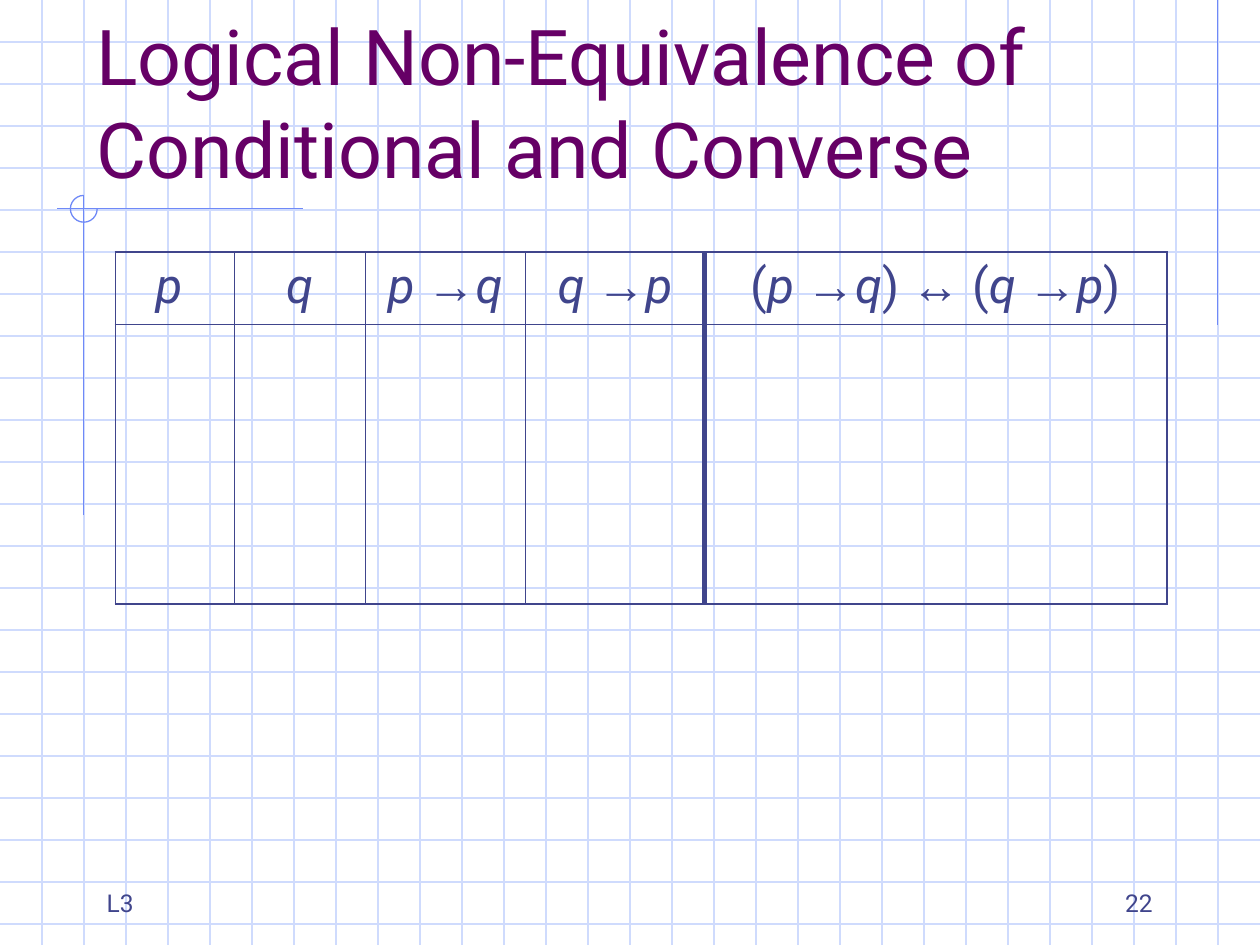
from collections import namedtuple

from lxml import etree
from pptx import Presentation
from pptx.dml.color import RGBColor
from pptx.enum import shapes, text
from pptx.oxml import ns
from pptx.util import Cm, Pt

PAPER_LINE = RGBColor(0xCF, 0xDB, 0xFD)
ACCENT = RGBColor(0x6F, 0x89, 0xF7)
PURPLE = RGBColor(0x66, 0x00, 0x66)
INDIGO = RGBColor(0x40, 0x45, 0x8C)
BODY_FONT, ARROW_FONT = "Roboto", "Arial"

THIN, FRAME, DIVIDER = 0.45, 1.08, 3
HEADINGS = ["p ", "q", "p |→|q", "q |→|p", "(|p |→|q|) |↔| (|q |→|p|)"]
COLUMN_WIDTHS = [2.39, 2.64, 3.23, 3.61, 9.32]
ROW_HEIGHTS = [1.45, 5.64]
CONCLUSION = len(HEADINGS) - 1

Box = namedtuple("Box", "left top width height")


def add_line(slide, x1, y1, x2, y2, color):
    line = slide.shapes.add_connector(
        shapes.MSO_CONNECTOR.STRAIGHT, Cm(x1), Cm(y1), Cm(x2), Cm(y2))
    line.line.color.rgb = color
    line.line.width = Pt(0.75)
    etree.SubElement(line._element.spPr, ns.qn("a:effectLst"))


def add_graph_paper(slide, box):
    pitch = box.width / 30
    right, bottom = box.left + box.width, box.top + box.height
    for step in range(1, 23):
        y = box.top + step * pitch
        add_line(slide, box.left, y, right, y, PAPER_LINE)
    for step in range(1, 30):
        x = box.left + step * pitch
        add_line(slide, x, box.top, x, bottom, PAPER_LINE)


def add_crosshair(slide, box):
    radius = 0.27
    x, y = box.left + 0.55, box.top + radius
    add_line(slide, box.left + box.width, y, box.left, y, ACCENT)
    add_line(slide, x, box.top, x, box.top + box.height, ACCENT)
    ring = slide.shapes.add_shape(
        shapes.MSO_SHAPE.ARC, Cm(x - radius), Cm(y - radius),
        Cm(2 * radius), Cm(2 * radius))
    ring.adjustments[0] = 0
    ring.adjustments[1] = 162
    ring.shadow.inherit = False
    ring.fill.background()
    ring.line.color.rgb = ACCENT
    ring.line.width = Pt(0.75)


def style_run(run, size, color, font=BODY_FONT):
    run.font.name = font
    run.font.size = Pt(size)
    run.font.color.rgb = color


def add_caption(slide, box, words, size, color, align=text.PP_ALIGN.LEFT):
    frame = slide.shapes.add_textbox(*map(Cm, box)).text_frame
    frame.word_wrap = True
    frame.vertical_anchor = text.MSO_ANCHOR.BOTTOM
    frame.text = words
    paragraph = frame.paragraphs[0]
    paragraph.alignment = align
    style_run(paragraph.runs[0], size, color)


def write_formula(cell, formula):
    paragraph = cell.text_frame.paragraphs[0]
    paragraph.alignment = text.PP_ALIGN.CENTER
    for token in formula.split("|"):
        run = paragraph.add_run()
        run.text = token
        style_run(run, 28, INDIGO, ARROW_FONT if token in "→↔" else BODY_FONT)
        run.font.italic = token.strip().isalpha()


def set_borders(cell, **widths):
    properties = cell._tc.get_or_add_tcPr()
    for side, width in widths.items():
        edge = etree.SubElement(
            properties, ns.qn(f"a:ln{side}"), w=str(Pt(width)))
        fill = etree.SubElement(edge, ns.qn("a:solidFill"))
        etree.SubElement(fill, ns.qn("a:srgbClr"), val=str(INDIGO))


def column_edge(index):
    if index in (0, len(COLUMN_WIDTHS)):
        return FRAME
    return DIVIDER if index == CONCLUSION else THIN


def row_edge(index):
    return FRAME if index in (0, len(ROW_HEIGHTS)) else THIN


def add_truth_table(slide, box):
    table = slide.shapes.add_table(
        len(ROW_HEIGHTS), len(COLUMN_WIDTHS), *map(Cm, box)).table
    table.first_row = table.horz_banding = False
    for column, width in zip(table.columns, COLUMN_WIDTHS):
        column.width = Cm(width)
    for row, height in zip(table.rows, ROW_HEIGHTS):
        row.height = Cm(height)
    for r in range(len(ROW_HEIGHTS)):
        for c in range(len(COLUMN_WIDTHS)):
            cell = table.cell(r, c)
            set_borders(cell, L=column_edge(c), R=column_edge(c + 1),
                        T=row_edge(r), B=row_edge(r + 1))
            cell.fill.background()
    for c, formula in enumerate(HEADINGS):
        write_formula(table.cell(0, c), formula)


def add_footer(slide, box):
    width = 5.28
    right = box.left + box.width - width
    add_caption(slide, Box(right, box.top, width, box.height), "22", 14,
                INDIGO, text.PP_ALIGN.RIGHT)
    add_caption(slide, Box(box.left, box.top, width, box.height), "L3", 14,
                INDIGO)


def main():
    deck = Presentation()
    page = Box(0, 0, 25.4, 19.05)
    deck.slide_width, deck.slide_height = Cm(page.width), Cm(page.height)
    slide = deck.slides.add_slide(deck.slide_layouts[6])
    add_graph_paper(slide, page)
    add_line(slide, 24.55, 0, 24.55, 6.55, ACCENT)
    add_crosshair(slide, Box(1.14, 3.94, 4.96, 6.45))
    add_caption(slide, Box(1.69, 0.85, 21.59, 3.18),
                "Logical Non-Equivalence of Conditional and Converse",
                44, PURPLE)
    add_truth_table(
        slide, Box(2.33, 5.08, sum(COLUMN_WIDTHS), sum(ROW_HEIGHTS)))
    add_footer(slide, Box(1.9, 17.35, 21.59, 1.27))
    deck.save("out.pptx")


if __name__ == "__main__":
    main()
